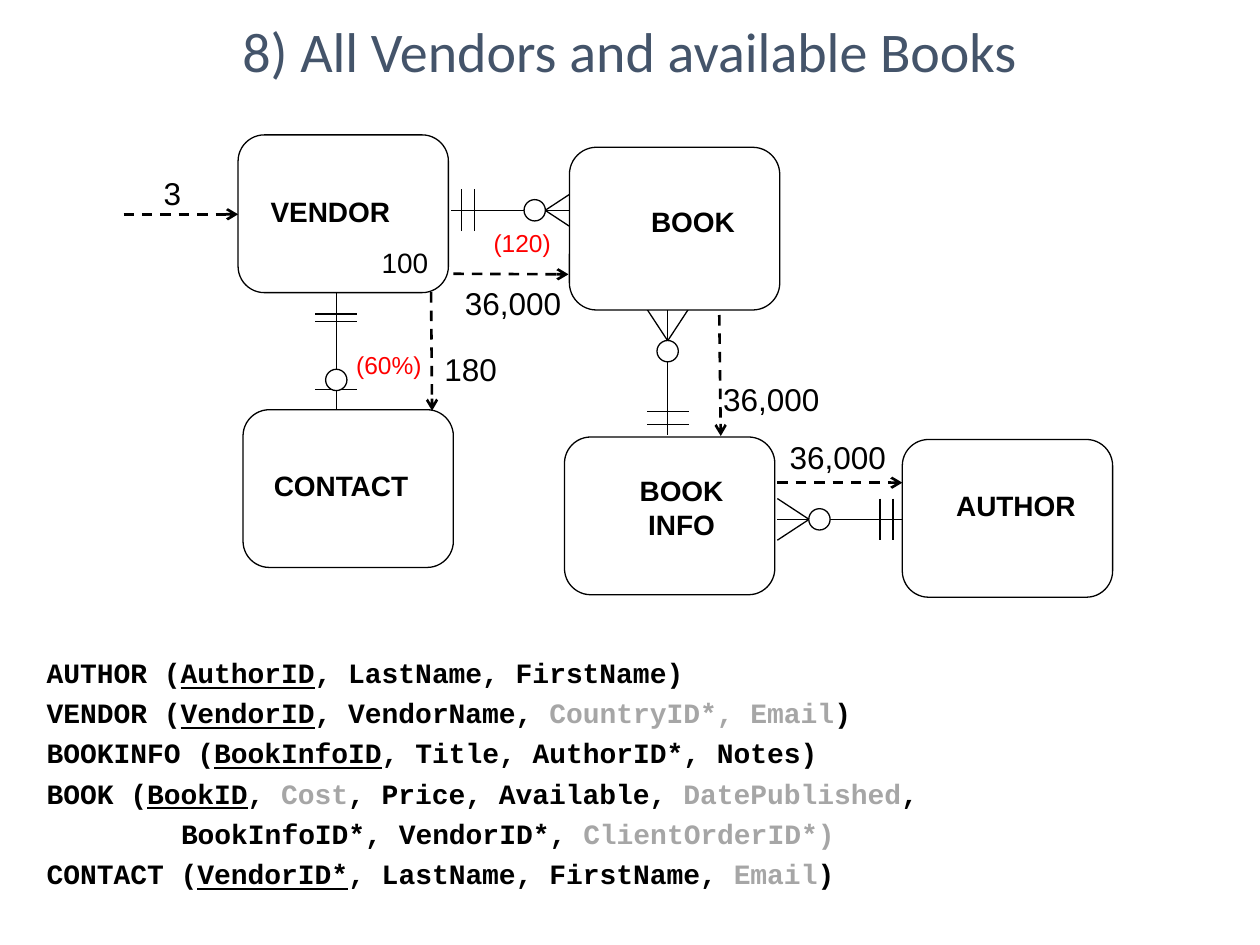
from lxml.etree import SubElement
from pptx import Presentation
from pptx.dml.color import RGBColor
from pptx.enum.dml import MSO_LINE
from pptx.enum.shapes import MSO_CONNECTOR, MSO_SHAPE
from pptx.enum.text import MSO_ANCHOR, MSO_AUTO_SIZE, PP_ALIGN
from pptx.oxml.ns import qn
from pptx.util import Cm, Pt

THEME = {
    "ink": RGBColor(0, 0, 0), "paper": RGBColor(255, 255, 255),
    "title": RGBColor(0x44, 0x54, 0x6A), "ratio": RGBColor(255, 0, 0),
    "unused": RGBColor(0xA6, 0xA6, 0xA6),
    "title_font": "Calibri", "label_font": "Arial", "schema_font": "Courier New",
    "title_size": Pt(32), "text_size": Pt(16), "volume_size": Pt(18),
    "ratio_size": Pt(14), "thin": Pt(0.75), "thick": Pt(1.5),
}

# Content: all places are in centimetres
TITLE = "8) All Vendors and available Books"
ENTITY_WIDTH, ENTITY_HEIGHT = 4.24, 3.18
# left, top, height, text inside
ENTITIES = [
    (11.38, 8.81, ENTITY_HEIGHT, ""),
    (4.8, 2.72, ENTITY_HEIGHT, "100"),
    (11.48, 2.97, 3.28, ""),
    (18.19, 8.86, ENTITY_HEIGHT, ""),
    (4.9, 8.26, ENTITY_HEIGHT, ""),
]
# lines, left, top, width, height
ENTITY_NAMES = [
    (["VENDOR"], 5.2, 3.8, 2.92, 0.94),
    (["BOOK"], 12.72, 3.99, 2.5, 0.94),
    (["BOOK", "INFO"], 12.49, 9.42, 2.5, 1.63),
    (["AUTHOR"], 19.02, 9.73, 2.92, 0.94),
    (["CONTACT"], 5.25, 9.32, 3.25, 0.94),
]
# Distances along each relationship, measured from its "optional" end
MANY = {"length": 2.54, "circle": 0.85, "bars": (2.07, 2.33), "foot": 0.64}
ONE = {"length": 2.41, "circle": 0.6, "bars": (0.41, 1.78, 1.93), "foot": 0}
# start, direction, notation
RELATIONSHIPS = [
    ((11.63, 4.24), (-1, 0), MANY),
    ((13.46, 6.23), (0, 1), MANY),
    ((15.67, 10.47), (1, 0), MANY),
    ((6.78, 8.26), (0, -1), ONE),
]
ACCESS_PATHS = [
    ((2.49, 4.32), (4.8, 4.32)),
    ((9.14, 5.52), (11.46, 5.53)),
    ((8.69, 5.89), (8.71, 8.28)),
    ((14.5, 6.35), (14.53, 8.79)),
    ((15.67, 9.73), (18.19, 9.73)),
]
# text, kind, left, top, width
COUNTS = [
    ("3", "volume", 3.05, 3.38, 0.76),
    ("(120)", "ratio", 9.7, 4.47, 2.24),
    ("36,000", "volume", 9.12, 5.61, 3.73),
    ("180", "volume", 8.71, 6.93, 1.73),
    ("(60%)", "ratio", 6.93, 6.93, 1.96),
    ("36,000", "volume", 14.33, 7.54, 3.48),
    ("36,000", "volume", 15.67, 8.71, 2.72),
]
# Runs of text and style; a table's first key is underlined, unused columns are grey
SCHEMA = [
    [("AUTHOR (", ""), ("AuthorID", "key"), (", LastName, FirstName)", "")],
    [("VENDOR (", ""), ("VendorID", "key"), (", VendorName, ", ""),
     ("CountryID*, Email", "unused"), (")", "")],
    [("BOOKINFO (", ""), ("BookInfoID", "key"), (", Title, AuthorID*, Notes)", "")],
    [("BOOK (", ""), ("BookID", "key"), (", ", ""), ("Cost", "unused"),
     (", Price, Available, ", ""), ("DatePublished", "unused"), (",", "")],
    [("BookInfoID*, VendorID*, ", ""), ("ClientOrderID*)", "unused")],
    [("CONTACT (", ""), ("VendorID*", "key"), (", LastName, FirstName, ", ""),
     ("Email", "unused"), (")", "")],
]
CONTINUED_ROW, CONTINUED_INDENT = 4, 2.71

CIRCLE = 0.43
HALF_BAR = 0.42

presentation = Presentation()
presentation.slide_width, presentation.slide_height = Cm(25.4), Cm(19.05)
slide = presentation.slides.add_slide(presentation.slide_layouts[5])


def set_font(paragraph, font, size, color, bold=False):
    paragraph.font.name = THEME[font]
    paragraph.font.size = THEME[size]
    paragraph.font.color.rgb = THEME[color]
    paragraph.font.bold = bold


def add_line(start, end, width="thin"):
    line = slide.shapes.add_connector(
        MSO_CONNECTOR.STRAIGHT, *(Cm(value) for value in (*start, *end)))
    line.line.color.rgb = THEME["ink"]
    line.line.width = THEME[width]
    SubElement(line._element.spPr, qn("a:effectLst"))
    return line


def add_outlined(preset, left, top, width, height):
    outlined = slide.shapes.add_shape(preset, Cm(left), Cm(top), Cm(width), Cm(height))
    outlined.shadow.inherit = False
    outlined.fill.solid()
    outlined.fill.fore_color.rgb = THEME["paper"]
    outlined.line.color.rgb = THEME["ink"]
    outlined.line.width = THEME["thin"]
    return outlined


def add_text_frame(left, top, width, height, wrap=True):
    frame = slide.shapes.add_textbox(Cm(left), Cm(top), Cm(width), Cm(height)).text_frame
    frame.word_wrap = wrap
    frame.auto_size = MSO_AUTO_SIZE.SHAPE_TO_FIT_TEXT
    return frame


def add_relationship(start, direction, notation):
    (x, y), (dx, dy) = start, direction

    def place(along, across=0):
        return x + along * dx - across * dy, y + along * dy + across * dx

    add_line(place(0), place(notation["length"]))
    for bar in notation["bars"]:
        add_line(place(bar, -HALF_BAR), place(bar, HALF_BAR))
    if notation["foot"]:
        for side in (-HALF_BAR, HALF_BAR):
            add_line(place(notation["foot"]), place(0, side))
    center_x, center_y = place(notation["circle"])
    add_outlined(MSO_SHAPE.OVAL, center_x - CIRCLE / 2, center_y - CIRCLE / 2,
                 CIRCLE, CIRCLE)


# Title
title = slide.shapes.title
title.left, title.top, title.width, title.height = Cm(0), Cm(-0.28), Cm(25.4), Cm(3.96)
title.text_frame.text = TITLE
title.text_frame.vertical_anchor = MSO_ANCHOR.MIDDLE
title.text_frame.margin_bottom = Cm(1.5)
title.text_frame.paragraphs[0].alignment = PP_ALIGN.CENTER
set_font(title.text_frame.paragraphs[0], "title_font", "title_size", "title")

# Relationships, behind the entities they join
for relationship in RELATIONSHIPS:
    add_relationship(*relationship)

# Entities and their names
for left, top, height, row_count in ENTITIES:
    entity = add_outlined(MSO_SHAPE.FLOWCHART_ALTERNATE_PROCESS,
                          left, top, ENTITY_WIDTH, height)
    if row_count:
        entity.text_frame.text = row_count
        entity.text_frame.vertical_anchor = MSO_ANCHOR.BOTTOM
        entity.text_frame.paragraphs[0].alignment = PP_ALIGN.RIGHT
        set_font(entity.text_frame.paragraphs[0], "label_font", "text_size", "ink")

for name_lines, *place in ENTITY_NAMES:
    name = add_text_frame(*place, wrap=False)
    name.text = "\n".join(name_lines)
    for paragraph in name.paragraphs:
        paragraph.alignment = PP_ALIGN.CENTER
        set_font(paragraph, "label_font", "text_size", "ink", bold=True)

# Access paths and counts
for start, end in ACCESS_PATHS:
    access_path = add_line(start, end, "thick")
    access_path.line.dash_style = MSO_LINE.DASH
    SubElement(access_path.get_or_add_ln(), qn("a:tailEnd"), type="arrow")

for text, kind, left, top, width in COUNTS:
    count = add_text_frame(left, top, width, 1.02 if kind == "volume" else 0.86)
    count.text = text
    set_font(count.paragraphs[0], "label_font", f"{kind}_size",
             "ratio" if kind == "ratio" else "ink")

# Table schema
schema = add_text_frame(0.69, 12.95, 24.23, 5.13)
for row, runs in enumerate(SCHEMA):
    paragraph = schema.add_paragraph() if row else schema.paragraphs[0]
    paragraph.line_spacing = 1.2
    set_font(paragraph, "schema_font", "text_size", "ink", bold=True)
    if row == CONTINUED_ROW:
        paragraph._p.get_or_add_pPr().set("marL", str(Cm(CONTINUED_INDENT)))
    for text, style in runs:
        run = paragraph.add_run()
        run.text = text
        if style == "key":
            run.font.underline = True
        elif style == "unused":
            run.font.color.rgb = THEME["unused"]

presentation.save("out.pptx")
